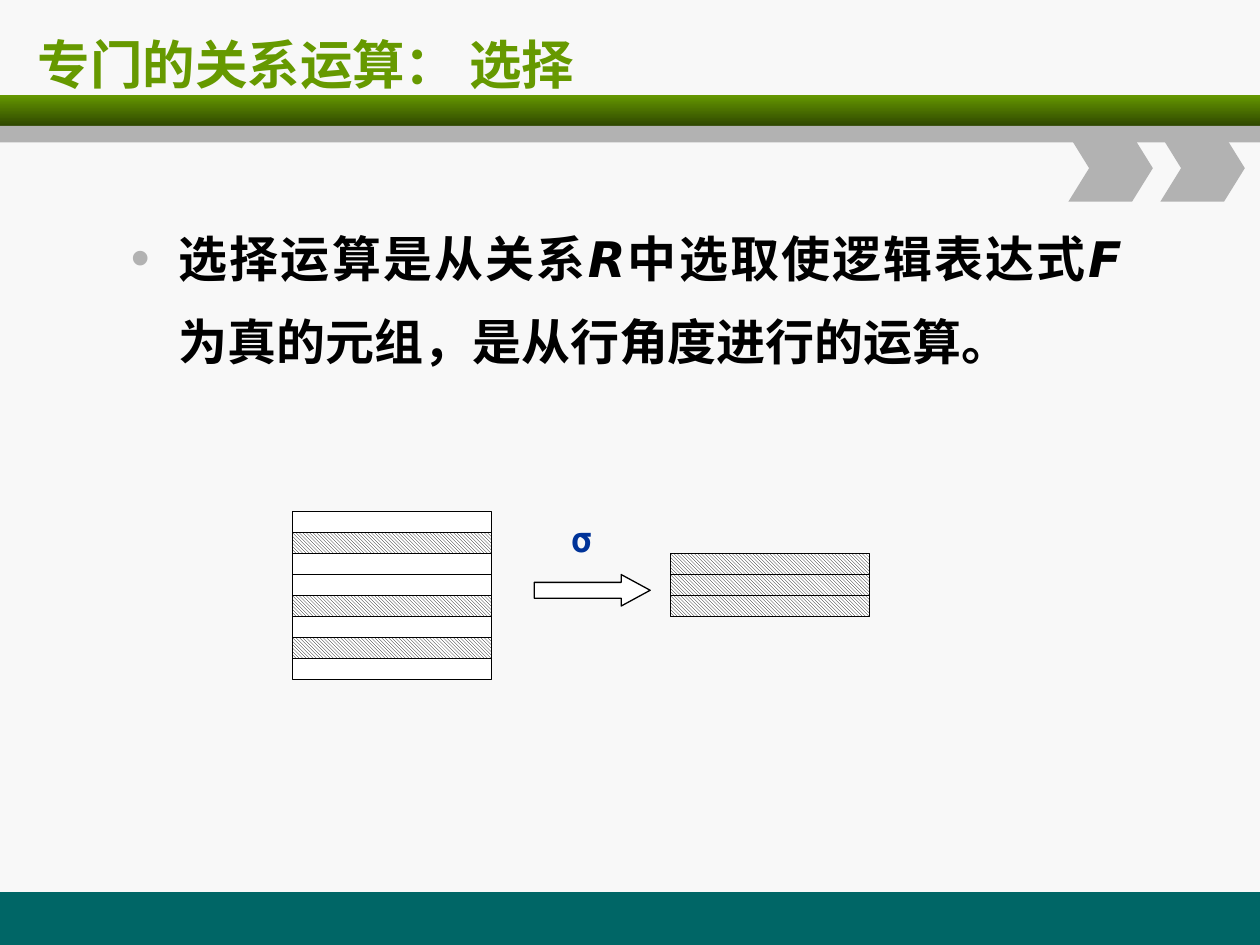
from lxml import etree
from pptx import Presentation
from pptx.dml.color import RGBColor
from pptx.enum.dml import MSO_PATTERN
from pptx.enum.shapes import MSO_SHAPE
from pptx.enum.text import MSO_ANCHOR, PP_ALIGN
from pptx.oxml.ns import qn
from pptx.util import Inches, Pt

RECT, CHEVRON, ARROW = MSO_SHAPE.RECTANGLE, MSO_SHAPE.CHEVRON, MSO_SHAPE.RIGHT_ARROW
HATCH = MSO_PATTERN.LIGHT_DOWNWARD_DIAGONAL
TOP, MIDDLE = MSO_ANCHOR.TOP, MSO_ANCHOR.MIDDLE
LEFT, CENTER, JUSTIFY = PP_ALIGN.LEFT, PP_ALIGN.CENTER, PP_ALIGN.JUSTIFY

COLORS = {name: RGBColor.from_string(value) for name, value in {
    "background": "F8F8F8", "green": "669900", "dark_green": "2F4700",
    "gray": "B2B2B2", "teal": "006666", "blue": "003399",
    "black": "000000", "white": "FFFFFF"}.items()}

WIDTH, HEIGHT = 10, 7.5

prs = Presentation()
prs.slide_width, prs.slide_height = Inches(WIDTH), Inches(HEIGHT)
slide = prs.slides.add_slide(prs.slide_layouts[6])
slide.background.fill.solid()
slide.background.fill.fore_color.rgb = COLORS["background"]


def add_block(kind, left, top, width, height, color, outlined=False):
    block = slide.shapes.add_shape(
        kind, Inches(left), Inches(top), Inches(width), Inches(height))
    block.shadow.inherit = False
    block.fill.solid()
    block.fill.fore_color.rgb = COLORS[color]
    if outlined:
        block.line.color.rgb = COLORS["black"]
        block.line.width = Pt(0.75)
    else:
        block.line.fill.background()
    return block


def add_text(left, top, width, height, runs, color, anchor, paragraph_format, font_format):
    box = slide.shapes.add_textbox(
        Inches(left), Inches(top), Inches(width), Inches(height))
    box.text_frame.word_wrap = True
    box.text_frame.vertical_anchor = anchor
    paragraph = box.text_frame.paragraphs[0]
    for key, value in paragraph_format.items():
        setattr(paragraph, key, value)
    for text, italic in runs:
        run = paragraph.add_run()
        run.text = text
        run.font.color.rgb = COLORS[color]
        for key, value in {**font_format, "bold": True, "italic": italic}.items():
            setattr(run.font, key, value)
    return paragraph


# Footer and header bands
FOOTER_HEIGHT = 0.42
add_block(RECT, 0, HEIGHT - FOOTER_HEIGHT, WIDTH, FOOTER_HEIGHT, "teal")
header = add_block(RECT, 0, HEIGHT / 10, WIDTH, 0.25, "green")
header.fill.gradient()
header.fill.gradient_angle = 270
for stop, color in zip(header.fill.gradient_stops, ("green", "dark_green")):
    stop.color.rgb = COLORS[color]
add_block(RECT, 0, 1, WIDTH, 0.13, "gray")
for column in range(2):
    chevron = add_block(CHEVRON, 8.48 + 0.73 * column, 1.07, 0.67, 0.53, "gray")
    chevron.adjustments[0] = 0.31

# Title
add_text(0.2, 0.17, 9.55, 0.67, [("专门的关系运算： 选择", False)], "green", MIDDLE,
         {"alignment": LEFT}, {"name": "DejaVu Sans", "size": Pt(30)})

# Definition of selection, with a gray bullet
definition = add_text(
    0.94, 1.58, 8.06, 5.42,
    [("选择运算是从关系", False), ("R", True), ("中选取使逻辑表达式", False),
     ("F", True), ("为真的元组，是从行角度进行的运算。", False)],
    "black", TOP,
    {"alignment": JUSTIFY, "line_spacing": 1.4, "space_before": Pt(3)},
    {"name": "DejaVu Sans", "size": Pt(28)})
properties = definition._p.get_or_add_pPr()
properties.set("marL", str(Inches(0.38)))
properties.set("indent", str(-Inches(0.38)))
bullet_color = etree.SubElement(properties, qn("a:buClr"))
etree.SubElement(bullet_color, qn("a:srgbClr"), val=str(COLORS["gray"]))
etree.SubElement(properties, qn("a:buSzPct"), val="110000")
etree.SubElement(properties, qn("a:buFont"), typeface="Arial")
etree.SubElement(properties, qn("a:buChar"), char="•")

# Relation before and after selection: (left, first grid row, selected flags)
ROW_TOP, ROW_HEIGHT, ROW_WIDTH = 4.06, 1 / 6, 1.58
RELATIONS = [
    (2.32, 0, [False, True, False, False, True, False, True, False]),
    (5.32, 2, [True, True, True]),
]
for left, first_row, tuples in RELATIONS:
    for row, selected in enumerate(tuples, first_row):
        relation_row = add_block(RECT, left, ROW_TOP + row * ROW_HEIGHT,
                                 ROW_WIDTH, ROW_HEIGHT, "white", outlined=True)
        if selected:
            relation_row.fill.patterned()
            relation_row.fill.pattern = HATCH
            relation_row.fill.fore_color.rgb = COLORS["black"]
            relation_row.fill.back_color.rgb = COLORS["white"]

# Selection operator
operator_arrow = add_block(ARROW, 4.24, ROW_TOP + 3 * ROW_HEIGHT, 0.92, 0.25,
                           "white", outlined=True)
operator_arrow.adjustments[1] = 0.92
add_text(4.24, ROW_TOP, 0.75, 0.44, [("σ", False)], "blue", TOP,
         {"alignment": CENTER}, {"name": "DejaVu Sans Mono", "size": Pt(20)})

prs.save("out.pptx")
